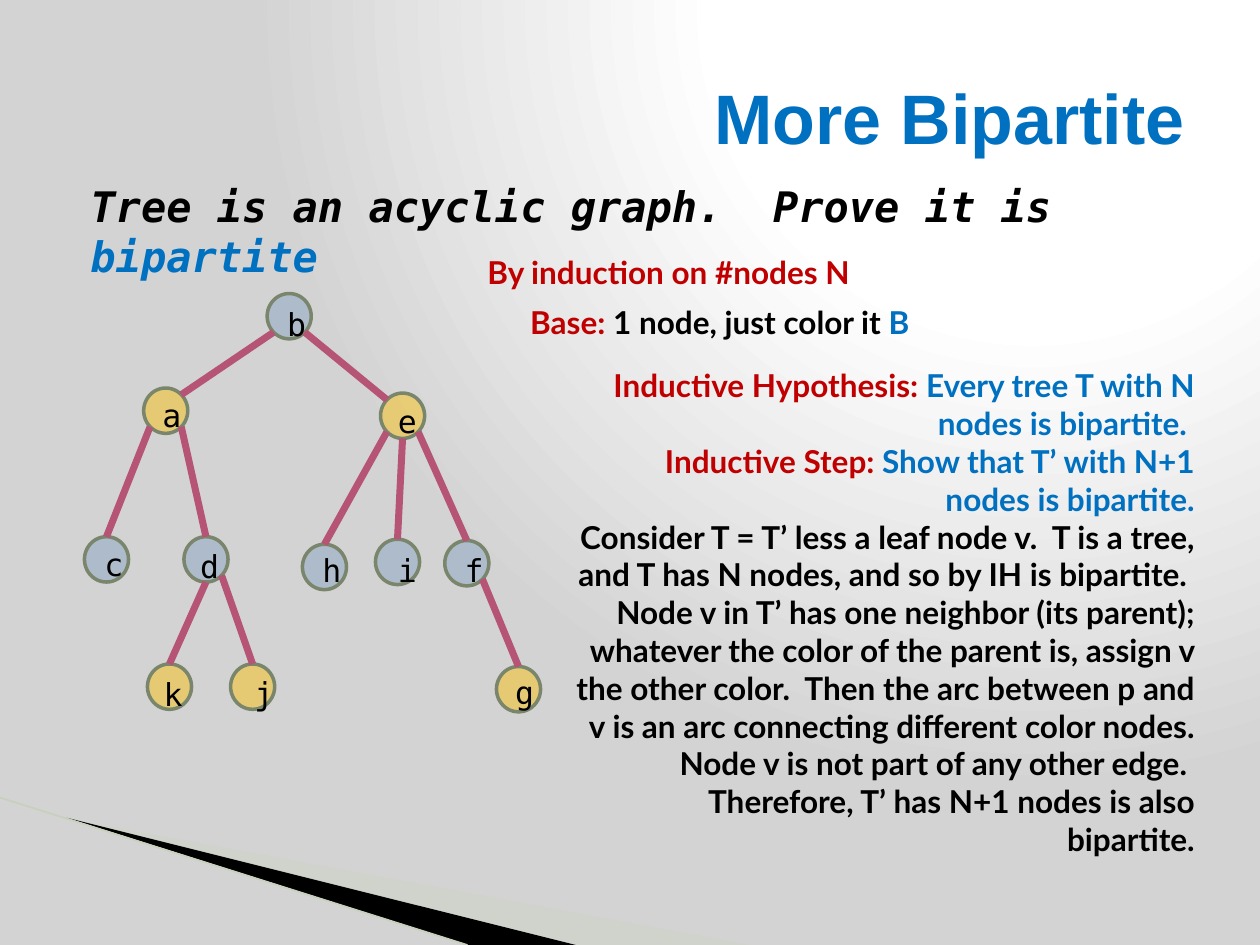
import math

import lxml.etree
import pptx
import pptx.dml.color
import pptx.enum.shapes
import pptx.enum.text
import pptx.oxml
import pptx.oxml.ns
import pptx.util
from pptx.util import Inches

BLUE, RED, BLACK = "0070C0", "C00000", "000000"
NODE_BLUE, NODE_GOLD = "809EC2", "FFC000"
MONO, SANS = "DejaVu Sans Mono", "Lato"
NODE_WIDTH, NODE_HEIGHT = 0.35, 0.36
COMPASS = {"N": -90, "NE": -45, "SE": 45, "S": 90, "SW": 135, "NW": -135}

NODES = {
    "a": (1.14, 3.08, NODE_GOLD, 1.19, 3.09),
    "b": (2.12, 2.33, NODE_BLUE, 2.18, 2.37),
    "c": (0.67, 4.26, NODE_BLUE, 0.73, 4.28),
    "d": (1.46, 4.26, NODE_BLUE, 1.49, 4.29),
    "e": (3.02, 3.12, NODE_GOLD, 3.06, 3.14),
    "f": (3.53, 4.29, NODE_BLUE, 3.59, 4.32),
    "g": (3.94, 5.29, NODE_GOLD, 3.99, 5.29),
    "h": (2.40, 4.32, NODE_BLUE, 2.46, 4.32),
    "i": (2.98, 4.28, NODE_BLUE, 3.06, 4.32),
    "j": (1.83, 5.27, NODE_GOLD, 1.92, 5.30),
    "k": (1.17, 5.27, NODE_GOLD, 1.20, 5.31),
}

EDGES = [
    ("b", "SW", "a", "NE"), ("b", "SE", "e", "NW"),
    ("a", "SW", "c", "N"), ("a", "SE", "d", "N"),
    ("e", "SW", "h", "N"), ("e", "S", "i", "N"), ("e", "SE", "f", "N"),
    ("d", "S", "k", "N"), ("d", "SE", "j", "N"), ("f", "SE", "g", "N"),
]

PROOF = [
    [("Inductive Hypothesis: ", RED), ("Every tree T with N nodes is bipartite. ", BLUE)],
    [("Inductive Step: ", RED), ("Show that T’ with N+1 nodes is bipartite.", BLUE)],
    [("Consider T = T’ less a leaf node v.  T is a tree, and T has N nodes, "
      "and so by IH is bipartite.  Node v in T’ has one neighbor (its parent); "
      "whatever the color of the parent is, assign v the other color.  "
      "Then the arc between p and v is an arc connecting different color nodes. "
      "Node v is not part of any other edge. ", BLACK)],
    [("Therefore, T’ has N+1 nodes is also bipartite.", BLACK)],
]


def color(value):
    return pptx.dml.color.RGBColor.from_string(value)


def set_background(page):
    page.background.fill.gradient()
    gradient = page.background._cSld.bg.bgPr.find(pptx.oxml.ns.qn("a:gradFill"))
    parent = gradient.getparent()
    stops = "".join(
        f'<a:gs pos="{position}000"><a:srgbClr val="{value}"/></a:gs>'
        for position, value in ((0, "FFFFFF"), (40, "FFFFFF"), (100, "D3D3D3"))
    )
    parent.replace(gradient, pptx.oxml.parse_xml(
        f'<a:gradFill {pptx.oxml.ns.nsdecls("a")} rotWithShape="1"><a:gsLst>{stops}</a:gsLst>'
        '<a:path path="circle"><a:fillToRect l="65000" t="0" r="0" b="98000"/></a:path>'
        '</a:gradFill>'
    ))


def fill_shape(shape, value, opacity=100):
    shape.shadow.inherit = False
    shape.fill.solid()
    shape.fill.fore_color.rgb = color(value)
    if opacity < 100:
        solid = shape._element.spPr.find(pptx.oxml.ns.qn("a:solidFill"))
        alpha = lxml.etree.SubElement(solid[0], pptx.oxml.ns.qn("a:alpha"))
        alpha.set("val", str(opacity * 1000))


def add_wedge(page, points, value, opacity=100):
    corners = [(Inches(x), Inches(y)) for x, y in points]
    builder = page.shapes.build_freeform(*corners[0])
    builder.add_line_segments(corners[1:], close=True)
    wedge = builder.convert_to_shape()
    fill_shape(wedge, value, opacity)
    wedge.line.fill.background()


def add_line(shapes, start, end, value, weight):
    line = shapes.add_connector(
        pptx.enum.shapes.MSO_CONNECTOR.STRAIGHT, *(Inches(n) for n in (*start, *end)))
    line.line.color.rgb = color(value)
    line.line.width = pptx.util.Pt(weight)
    lxml.etree.SubElement(line._element.spPr, pptx.oxml.ns.qn("a:effectLst"))


def add_text(shapes, place, paragraphs, font, size, bold=True, italic=False,
             right=False, grow=True, middle=False, indent=0):
    box = shapes.add_textbox(*(Inches(n) for n in place))
    frame = box.text_frame
    frame.word_wrap = True
    if grow:
        frame.auto_size = pptx.enum.text.MSO_AUTO_SIZE.SHAPE_TO_FIT_TEXT
    if middle:
        frame.vertical_anchor = pptx.enum.text.MSO_ANCHOR.MIDDLE
    for index, runs in enumerate(paragraphs):
        para = frame.add_paragraph() if index else frame.paragraphs[0]
        if right:
            para.alignment = pptx.enum.text.PP_ALIGN.RIGHT
        if indent:
            para._p.get_or_add_pPr().set("marL", str(Inches(indent)))
        for text, value in runs:
            span = para.add_run()
            span.text = text
            span.font.name = font
            span.font.size = pptx.util.Pt(size)
            span.font.bold = bold
            span.font.italic = italic
            span.font.color.rgb = color(value)


def add_node(shapes, left, top, value):
    node = shapes.add_shape(
        pptx.enum.shapes.MSO_SHAPE.OVAL,
        Inches(left), Inches(top), Inches(NODE_WIDTH), Inches(NODE_HEIGHT))
    fill_shape(node, value, 45)
    node.line.color.rgb = color("7A866C")
    node.line.width = pptx.util.Pt(2)


def rim_point(name, direction):
    left, top = NODES[name][:2]
    angle = math.radians(COMPASS[direction])
    return (left + NODE_WIDTH / 2 * (1 + math.cos(angle)),
            top + NODE_HEIGHT / 2 * (1 + math.sin(angle)))


def add_tree(page):
    shapes = page.shapes.add_group_shape().shapes
    for left, top, value, _, _ in NODES.values():
        add_node(shapes, left, top, value)
    for parent, leaving, child, arriving in EDGES:
        add_line(shapes, rim_point(parent, leaving), rim_point(child, arriving), "B55475", 4)
    for name, (_, _, _, left, top) in NODES.items():
        add_text(shapes, (left, top, 0.23, 0.35), [[(name, BLACK)]], MONO, 18, bold=False)


def main():
    deck = pptx.Presentation()
    deck.slide_width, deck.slide_height = Inches(10), Inches(7.5)
    page = deck.slides.add_slide(deck.slide_layouts[6])
    set_background(page)
    add_wedge(page, [(0.55, 6.5), (5.95, 7.5), (4.56, 7.5)], "CBD4C0", 40)
    add_wedge(page, [(0.53, 6.49), (4.57, 7.5), (3.72, 7.5)], BLACK)
    add_line(page.shapes, (0, 6.33), (3.71, 7.5), "C6D0BB", 0.95)

    add_text(page.shapes, (0.5, 1.38, 9, 5.23),
             [[("Tree is an acyclic graph.  Prove it is ", BLACK), ("bipartite", BLUE)]],
             MONO, 24, italic=True, grow=False, indent=0.12)
    add_text(page.shapes, (0.5, 0.3, 9, 1.25), [[("More Bipartite", BLUE)]],
             "Arial", 40, right=True, grow=False, middle=True)
    add_text(page.shapes, (4.11, 2.36, 3.68, 0.4),
             [[("Base: ", RED), ("1 node, just color it ", BLACK), ("B", BLUE)]], SANS, 18)
    add_tree(page)
    add_text(page.shapes, (3.77, 1.96, 3.84, 0.4),
             [[("By induction on #nodes N", RED)]], SANS, 18)
    add_text(page.shapes, (4.46, 2.86, 5.12, 4.64), PROOF, SANS, 18, right=True)
    deck.save("out.pptx")


if __name__ == "__main__":
    main()
